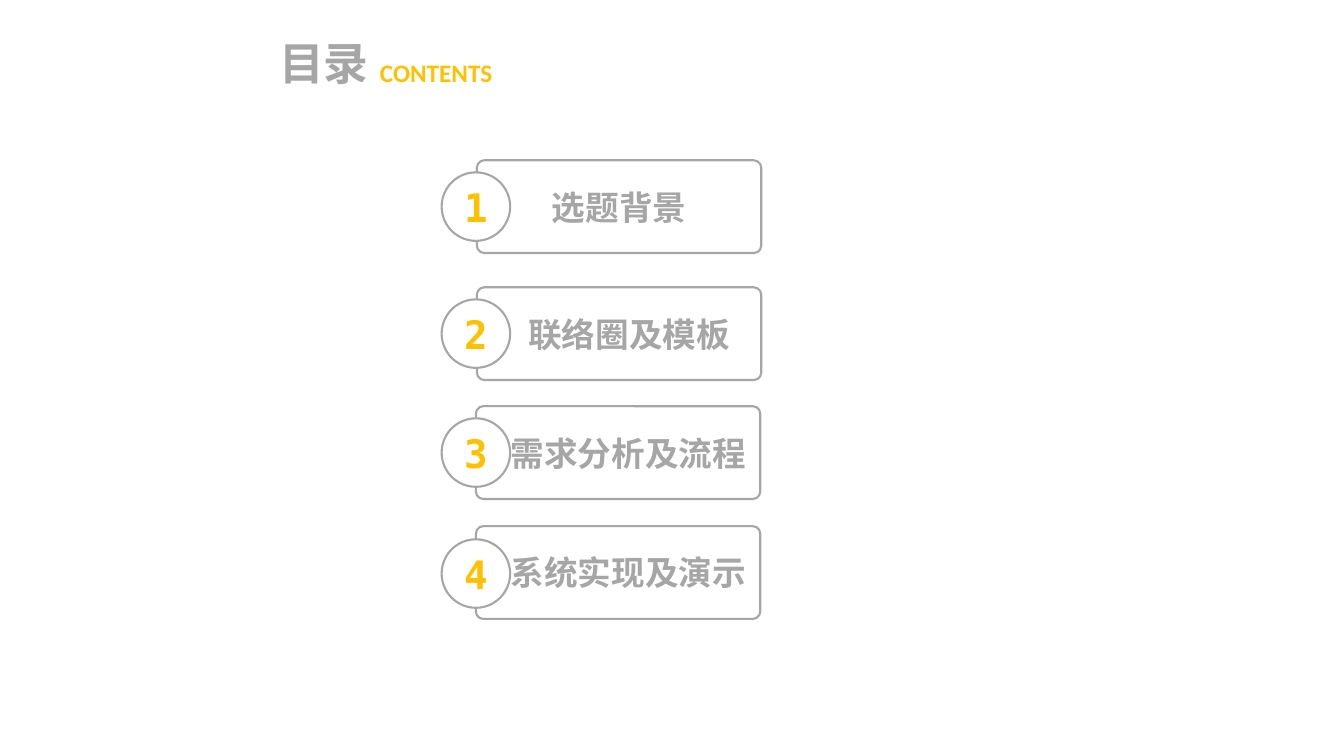
from lxml import etree
from pptx import Presentation, util as u
from pptx.dml.color import RGBColor
from pptx.enum import shapes, text
from pptx.oxml.ns import qn

TITLE, SUBTITLE = "目录", "CONTENTS"
# number, heading, box left, box top, badge top, extra left inset
CHAPTERS = [
    ("1", "选题背景", 4.73, 1.59, 1.71, 0),
    ("2", "联络圈及模板", 4.73, 2.85, 2.97, 0.2),
    ("3", "需求分析及流程", 4.72, 4.03, 4.15, 0.2),
    ("4", "系统实现及演示", 4.72, 5.22, 5.35, 0.2),
]
COLORS = {"grey": "A6A6A6", "gold": "FFC000", "white": "FFFFFF"}
HEADING_FONT, NUMBER_FONT, LATIN_FONT = "Noto Sans CJK SC", "DejaVu Sans Mono", "Calibri"
BOX_W, BOX_H = 2.82, 0.92
BADGE_LEFT, BADGE_SIZE = 4.38, 0.68
INSET = 0.1


def color(name):
    return RGBColor.from_string(COLORS[name])


def write(shape, words, font_name, size, color_name, align, wrap=False):
    frame = shape.text_frame
    frame.word_wrap = wrap
    frame.vertical_anchor = text.MSO_ANCHOR.MIDDLE
    paragraph = frame.paragraphs[0]
    paragraph.text = words
    paragraph.alignment = align
    font = paragraph.font
    font.name, font.size, font.bold = font_name, u.Pt(size), True
    font.color.rgb = color(color_name)
    # East Asian glyphs take their typeface from a:ea
    run_defaults = paragraph._p.get_or_add_pPr().get_or_add_defRPr()
    etree.SubElement(run_defaults, qn("a:ea"), typeface=font_name)
    return paragraph


def add_outlined(slide, preset, left, top, width, height, fill=None):
    shape = slide.shapes.add_shape(preset, *map(u.Inches, (left, top, width, height)))
    shape.shadow.inherit = False
    if fill:
        shape.fill.solid()
        shape.fill.fore_color.rgb = color(fill)
    else:
        shape.fill.background()
    shape.line.color.rgb = color("grey")
    shape.line.width = u.Pt(1.5)
    return shape


def add_chapter(slide, number, heading, left, top, badge_top, extra_inset):
    center = text.PP_ALIGN.CENTER
    box = add_outlined(slide, shapes.MSO_SHAPE.ROUNDED_RECTANGLE, left, top, BOX_W, BOX_H)
    box.adjustments[0] = 0.08
    box.text_frame.margin_left = u.Inches(INSET + extra_inset)
    write(box, heading, HEADING_FONT, 24, "grey", center)
    badge = add_outlined(slide, shapes.MSO_SHAPE.OVAL, BADGE_LEFT, badge_top,
                         BADGE_SIZE, BADGE_SIZE, "white")
    write(badge, number, NUMBER_FONT, 28, "gold", center)


def main():
    deck = Presentation()
    deck.slide_width, deck.slide_height = u.Inches(13.33), u.Inches(7.5)
    slide = deck.slides.add_slide(deck.slide_layouts[6])

    title = slide.shapes.add_textbox(*map(u.Inches, (2.67, 0.03, 3.84, 1.25)))
    write(title, TITLE, HEADING_FONT, 32, "grey", text.PP_ALIGN.LEFT, wrap=True).line_spacing = 0.9
    for chapter in CHAPTERS:
        add_chapter(slide, *chapter)
    subtitle = slide.shapes.add_textbox(*map(u.Inches, (3.67, 0.52, 1.33, 0.4)))
    write(subtitle, SUBTITLE, LATIN_FONT, 18, "gold", text.PP_ALIGN.LEFT)

    deck.save("out.pptx")


if __name__ == "__main__":
    main()
